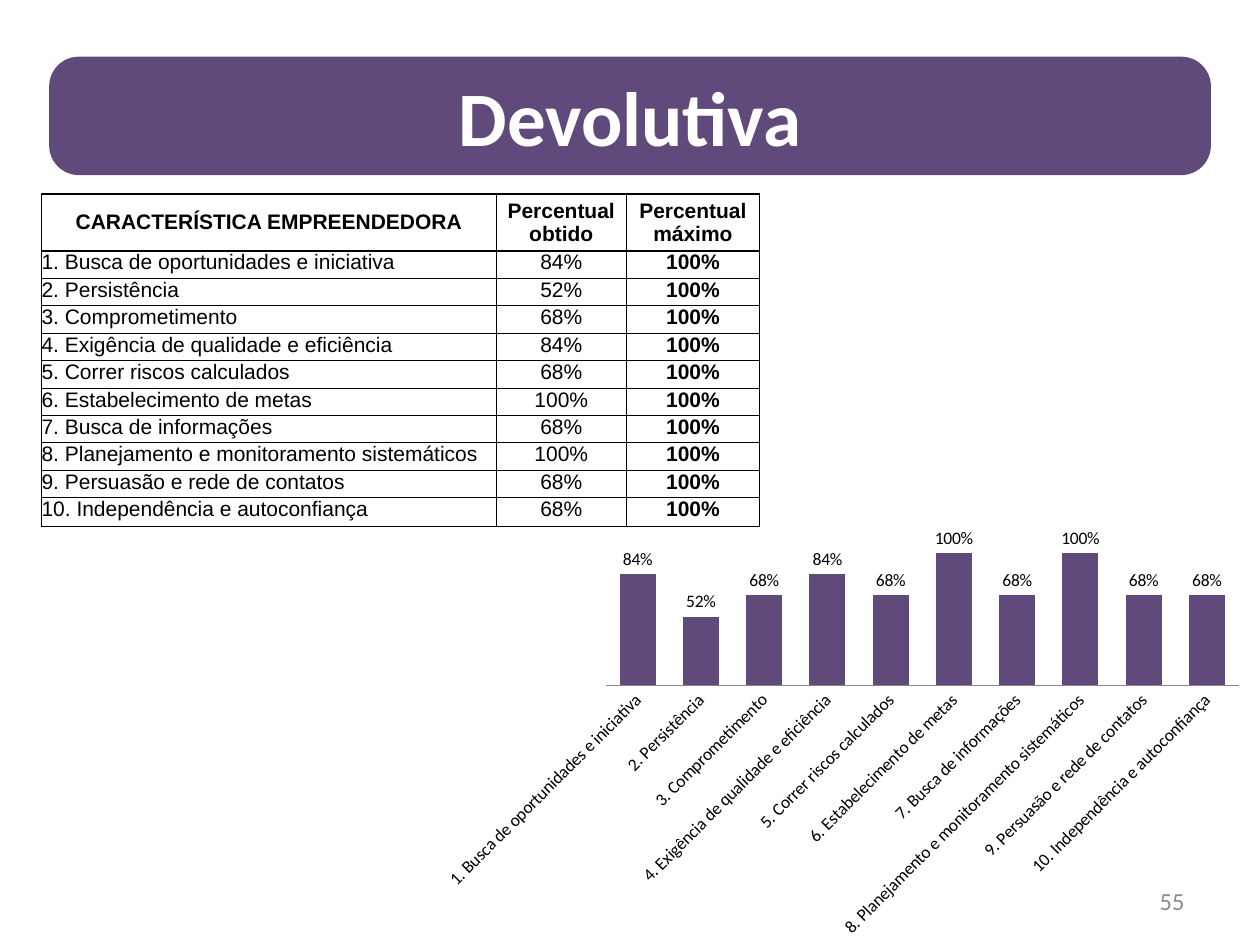
import dataclasses

import lxml.etree
import pptx
import pptx.chart.data
import pptx.dml.color
import pptx.enum.chart
import pptx.enum.shapes
import pptx.enum.text
import pptx.oxml
import pptx.oxml.ns
import pptx.util

Inches = pptx.util.Inches
Pt = pptx.util.Pt
Align = pptx.enum.text.PP_ALIGN
Anchor = pptx.enum.text.MSO_ANCHOR


@dataclasses.dataclass(frozen=True)
class Theme:
    purple: str = "604A7B"
    white: str = "FFFFFF"
    black: str = "000000"
    grey: str = "8C8C8C"
    axis: str = "868686"
    heading_font: str = "Calibri"
    table_font: str = "Arial"
    title_size: int = 44
    number_size: int = 14
    table_size: int = 12
    chart_size: int = 10
    thin: float = 0.5
    axis_width: float = 0.75
    thick: float = 1


THEME = Theme()

HEADERS = ["CARACTERÍSTICA EMPREENDEDORA", "Percentual obtido", "Percentual máximo"]
RESULTS = [
    ("1. Busca de oportunidades e iniciativa", 0.84),
    ("2. Persistência", 0.52),
    ("3. Comprometimento", 0.68),
    ("4. Exigência de qualidade e eficiência", 0.84),
    ("5. Correr riscos calculados", 0.68),
    ("6. Estabelecimento de metas", 1),
    ("7. Busca de informações", 0.68),
    ("8. Planejamento e monitoramento sistemáticos", 1),
    ("9. Persuasão e rede de contatos", 0.68),
    ("10. Independência e autoconfiança", 0.68),
]


def rgb(color):
    return pptx.dml.color.RGBColor.from_string(color)


def format_font(font, name, size, color, bold=False):
    font.name = name
    font.size = Pt(size)
    font.bold = bold
    font.color.rgb = rgb(color)


def write_text(text_frame, text, alignment, *font_format):
    text_frame.text = text
    text_frame.word_wrap = True
    paragraph = text_frame.paragraphs[0]
    paragraph.alignment = alignment
    format_font(paragraph.runs[0].font, *font_format)


def set_borders(cell, widths):
    """Draw the cell borders; widths are for left, right, top and bottom."""
    properties = cell._tc.get_or_add_tcPr()
    for index, (side, width) in enumerate(zip("LRTB", widths)):
        border = pptx.oxml.parse_xml(
            f'<a:ln{side} {pptx.oxml.ns.nsdecls("a")} w="{Pt(width)}">'
            f'<a:solidFill><a:srgbClr val="{THEME.black}"/></a:solidFill></a:ln{side}>'
        )
        properties.insert(index, border)


def add_title_banner(slide, left, top, width, height):
    banner = slide.shapes.add_shape(
        pptx.enum.shapes.MSO_SHAPE.ROUNDED_RECTANGLE, left, top, width, height)
    banner.adjustments[0] = 0.25
    banner.shadow.inherit = False
    banner.fill.solid()
    banner.fill.fore_color.rgb = rgb(THEME.purple)
    banner.line.fill.background()
    banner.text_frame.vertical_anchor = Anchor.MIDDLE
    write_text(banner.text_frame, "Devolutiva", Align.CENTER,
               THEME.heading_font, THEME.title_size, THEME.white, True)


def add_slide_number(slide, left, top, width, height):
    number = slide.shapes.add_textbox(left, top, width, height)
    number.text_frame.vertical_anchor = Anchor.MIDDLE
    write_text(number.text_frame, "55", Align.RIGHT,
               THEME.heading_font, THEME.number_size, THEME.grey)


def add_results_table(slide, left, top, width, height):
    rows = [HEADERS] + [(name, f"{value:.0%}", "100%") for name, value in RESULTS]
    last_row, last_column = len(rows) - 1, len(HEADERS) - 1
    table = slide.shapes.add_table(
        len(rows), len(HEADERS), left, top, width, height).table
    table.first_row = table.horz_banding = False

    # The first column takes the width left over, the middle rows share the height
    obtained_width, maximum_width = Inches(1.03), Inches(1.06)
    column_widths = [width - obtained_width - maximum_width, obtained_width, maximum_width]
    for column, column_width in zip(table.columns, column_widths):
        column.width = column_width
    header_height, last_height = Inches(0.45), Inches(0.23)
    middle_height = (height - header_height - last_height) // (last_row - 1)
    row_heights = [header_height] + [middle_height] * (last_row - 1) + [last_height]
    for row, row_height in zip(table.rows, row_heights):
        row.height = row_height

    for row_index, row in enumerate(rows):
        for column_index, text in enumerate(row):
            cell = table.cell(row_index, column_index)
            header = row_index == 0
            cell.margin_left = cell.margin_right = 0
            cell.margin_top = cell.margin_bottom = 0
            cell.vertical_anchor = Anchor.MIDDLE if header else Anchor.TOP
            cell.fill.background()
            alignment = Align.CENTER if header or column_index else Align.JUSTIFY
            write_text(cell.text_frame, text, alignment,
                       THEME.table_font, THEME.table_size, THEME.black,
                       header or column_index == last_column)
            # Thick lines go round the table and under the header
            thick_sides = (column_index == 0, column_index == last_column,
                           row_index <= 1, row_index in (0, last_row))
            set_borders(cell, [THEME.thick if thick else THEME.thin
                               for thick in thick_sides])


def set_plot_area(chart, **fractions):
    """Fix the inner plot area as fractions of the chart."""
    plot_area = chart._chartSpace.chart.plotArea
    for old_layout in plot_area.findall(pptx.oxml.ns.qn("c:layout")):
        plot_area.remove(old_layout)
    layout = lxml.etree.Element(pptx.oxml.ns.qn("c:layout"))
    manual = lxml.etree.SubElement(layout, pptx.oxml.ns.qn("c:manualLayout"))
    settings = {"layoutTarget": "inner", "xMode": "edge", "yMode": "edge", **fractions}
    for name, value in settings.items():
        lxml.etree.SubElement(manual, pptx.oxml.ns.qn(f"c:{name}"), val=str(value))
    plot_area.insert(0, layout)


def add_results_chart(slide, left, top, width, height):
    chart_data = pptx.chart.data.CategoryChartData(number_format="0%")
    chart_data.categories = [name for name, _ in RESULTS]
    chart_data.add_series("Series 1", [value for _, value in RESULTS])
    chart = slide.shapes.add_chart(
        pptx.enum.chart.XL_CHART_TYPE.COLUMN_CLUSTERED,
        left, top, width, height, chart_data).chart
    chart.has_legend = False
    chart.has_title = False
    format_font(chart.font, THEME.heading_font, THEME.chart_size, THEME.black)
    set_plot_area(chart, x=Inches(1.37) / width, y=Inches(0.07) / height,
                  w=Inches(5.02) / width, h=Inches(1.26) / height)

    # Columns and their labels
    plot = chart.plots[0]
    plot.gap_width = 75
    plot.vary_by_categories = False
    series = plot.series[0]
    series.format.fill.solid()
    series.format.fill.fore_color.rgb = rgb(THEME.purple)
    labels = series.data_labels
    labels.show_value = True
    labels.number_format = "0%"
    labels.number_format_is_linked = False
    labels.position = pptx.enum.chart.XL_LABEL_POSITION.OUTSIDE_END

    # Axes
    value_axis = chart.value_axis
    value_axis.visible = False
    value_axis.has_major_gridlines = False
    value_axis.minimum_scale = 0
    value_axis.maximum_scale = 1.2
    category_axis = chart.category_axis
    category_axis.major_tick_mark = pptx.enum.chart.XL_TICK_MARK.NONE
    category_axis.format.line.color.rgb = rgb(THEME.axis)
    category_axis.format.line.width = Pt(THEME.axis_width)
    format_font(category_axis.tick_labels.font,
                THEME.heading_font, THEME.chart_size, THEME.black)
    body = category_axis._element.find(".//" + pptx.oxml.ns.qn("a:bodyPr"))
    body.set("rot", str(-45 * 60000))


def main():
    presentation = pptx.Presentation()
    presentation.slide_width, presentation.slide_height = Inches(10), Inches(7.5)
    slide = presentation.slides.add_slide(presentation.slide_layouts[6])
    add_title_banner(slide, Inches(0.39), Inches(0.45), Inches(9.22), Inches(0.94))
    add_slide_number(slide, Inches(7.17), Inches(6.95), Inches(2.33), Inches(0.4))
    add_results_table(slide, Inches(0.33), Inches(1.54), Inches(5.7), Inches(2.64))
    add_results_chart(slide, Inches(3.44), Inches(4.11), Inches(6.56), Inches(3.39))
    presentation.save("out.pptx")


if __name__ == "__main__":
    main()
